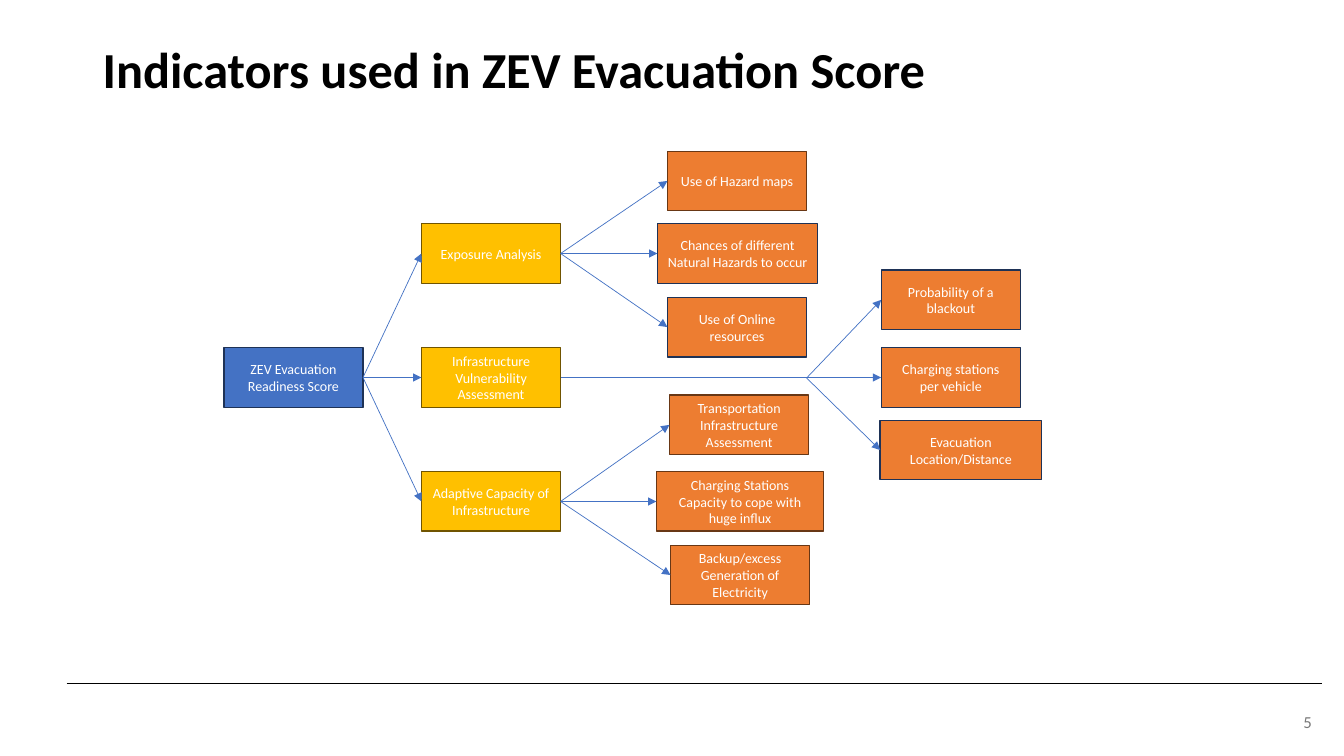
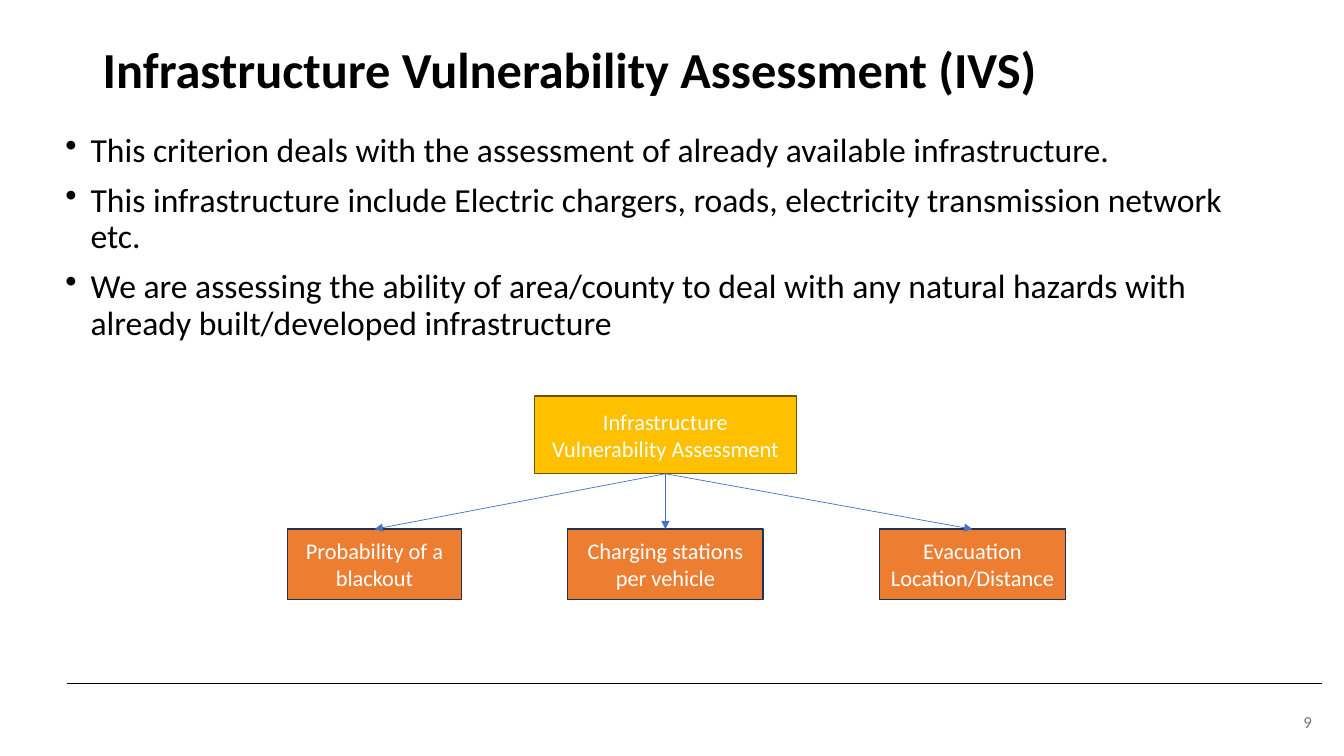
from dataclasses import dataclass

from lxml.etree import SubElement
from pptx import Presentation
from pptx.dml.color import RGBColor as Rgb
from pptx.enum.shapes import MSO_CONNECTOR as Connector, MSO_SHAPE as Shape
from pptx.enum.text import MSO_ANCHOR as Anchor, PP_ALIGN as Align
from pptx.oxml.ns import qn
from pptx.util import Pt

EMU_PER_PX = 9144
TOP, LEFT, BOTTOM, RIGHT = range(4)


def px(length):
    """Turn a length in px into EMU."""
    return length * EMU_PER_PX


@dataclass(frozen=True)
class Theme:
    """Colours, as (fill, outline) pairs for boxes, and type sizes."""

    font: str = "Calibri"
    ink: str = "000000"
    muted: str = "797979"
    box_text: str = "FFFFFF"
    arrow: str = "4472C4"
    score: tuple = ("4472C4", "1E3256")
    criterion: tuple = ("FFC000", "705400")
    indicator: tuple = ("ED7D31", "683715")
    indicator_navy: tuple = ("ED7D31", "1E3256")
    title_size: int = 36
    body_size: int = 24
    large_box_size: int = 16
    page_size: int = 12
    small_box_size: int = 10


class Deck:
    """Holds the style and the slide being drawn."""

    def __init__(self, theme):
        """Start an empty wide presentation."""
        self.theme = theme
        self.show = Presentation()
        self.show.slide_width, self.show.slide_height = px(1333), px(750)
        self.slide = None

    def start_slide(self, title, page):
        """Add a slide with its footer rule, page number and title."""
        theme = self.theme
        self.slide = self.show.slides.add_slide(self.show.slide_layouts[6])
        self.line((66, 678), (1311, 678), theme.ink)
        self.text([str(page)], 1169, 696, 142, 40, theme.page_size, theme.muted,
                  align=Align.RIGHT, anchor=Anchor.MIDDLE)
        heading = self.text([title], 92, 40, 1150, 94, theme.title_size, theme.ink, bold=True)
        heading.paragraphs[0].line_spacing = 0.9

    def fill_frame(self, frame, lines, size, color, align, anchor, bold=False):
        """Write one paragraph per line and format its run."""
        frame.word_wrap = True
        frame.vertical_anchor = anchor
        frame.text = "\n".join(lines)
        for paragraph in frame.paragraphs:
            paragraph.alignment = align
            for run in paragraph.runs:
                run.font.name = self.theme.font
                run.font.size = Pt(size)
                run.font.bold = bold
                run.font.color.rgb = Rgb.from_string(color)

    def text(self, lines, left, top, width, height, size, color,
             align=Align.LEFT, anchor=Anchor.TOP, bold=False):
        """Add a text box and return its text frame."""
        frame = self.slide.shapes.add_textbox(px(left), px(top), px(width), px(height)).text_frame
        self.fill_frame(frame, lines, size, color, align, anchor, bold)
        return frame

    def bullets(self, lines, left, top, width, height):
        """Add a bulleted list."""
        frame = self.text(lines, left, top, width, height, self.theme.body_size, self.theme.ink)
        for index, paragraph in enumerate(frame.paragraphs):
            properties = paragraph._p.get_or_add_pPr()
            properties.set("marL", str(px(25)))
            properties.set("indent", str(px(-25)))
            SubElement(properties, qn("a:buChar")).set("char", "•")
            paragraph.line_spacing = 0.9
            paragraph.space_before = Pt(10 if index else 0)

    def box(self, label, left, top, width, height, colors, size):
        """Add a labelled rectangle and return it."""
        fill, outline = colors
        box = self.slide.shapes.add_shape(
            Shape.RECTANGLE, px(left), px(top), px(width), px(height))
        box.shadow.inherit = False
        box.fill.solid()
        box.fill.fore_color.rgb = Rgb.from_string(fill)
        box.line.color.rgb = Rgb.from_string(outline)
        box.line.width = Pt(1)
        self.fill_frame(box.text_frame, [label], size, self.theme.box_text,
                        Align.CENTER, Anchor.MIDDLE)
        return box

    def line(self, start, end, color, arrow=False):
        """Add a thin straight line between two points."""
        line = self.slide.shapes.add_connector(
            Connector.STRAIGHT, *(px(value) for value in (*start, *end)))
        line.line.color.rgb = Rgb.from_string(color)
        line.line.width = Pt(0.5)
        properties = line.element.spPr
        if arrow:
            SubElement(properties.find(qn("a:ln")), qn("a:tailEnd")).set("type", "triangle")
        SubElement(properties, qn("a:effectLst"))
        return line

    def arrow(self, target, target_side, source=None, source_side=RIGHT, start=(0, 0)):
        """Point an arrow at a box, from another box or a start point."""
        arrow = self.line(start, start, self.theme.arrow, arrow=True)
        if source is not None:
            arrow.begin_connect(source, source_side)
        arrow.end_connect(target, target_side)


def indicators_slide(deck):
    """Draw the tree of all indicators."""
    theme = deck.theme
    plain, navy = theme.indicator, theme.indicator_navy
    criteria = [
        ("Exposure Analysis", [
            ("Use of Hazard maps", 662, 150, 138, plain),
            ("Chances of different Natural Hazards to occur", 652, 222, 159, navy),
            ("Use of Online resources", 662, 295, 138, navy)]),
        ("Infrastructure Vulnerability Assessment", [
            ("Probability of a blackout", 874, 268, 138, navy),
            ("Charging stations per vehicle", 874, 345, 138, navy),
            ("Evacuation Location/Distance", 873, 417, 160, navy)]),
        ("Adaptive Capacity of Infrastructure", [
            ("Transportation Infrastructure Assessment", 664, 392, 138, plain),
            ("Charging Stations Capacity to cope with huge influx", 651, 468, 166, plain),
            ("Backup/excess Generation of Electricity", 665, 541, 138, plain)]),
    ]
    height, size = 59, theme.small_box_size
    fork = (800, 375)

    deck.start_slide("Indicators used in ZEV Evacuation Score", 5)
    score = deck.box("ZEV Evacuation Readiness Score", 222, 345, 138, height, theme.score, size)
    for row, (name, indicators) in enumerate(criteria):
        criterion = deck.box(name, 418, 222 + 123 * row, 138, height, theme.criterion, size)
        deck.arrow(criterion, LEFT, score)
        for place, (label, left, top, width, colors) in enumerate(indicators):
            indicator = deck.box(label, left, top, width, height, colors, size)
            if row == 1 and place != 1:
                deck.arrow(indicator, LEFT, start=fork)
            else:
                deck.arrow(indicator, LEFT, criterion)


def vulnerability_slide(deck):
    """Explain the infrastructure criterion and its three indicators."""
    theme = deck.theme
    size = theme.large_box_size
    deck.start_slide("Infrastructure Vulnerability Assessment (IVS)", 9)
    deck.bullets([
        "This criterion deals with the assessment of already available infrastructure.",
        "This infrastructure include Electric chargers, roads, electricity transmission "
        "network etc.",
        "We are assessing the ability of area/county to deal with any natural hazards with "
        "already built/developed infrastructure",
    ], 55, 127, 1215, 229)
    criterion = deck.box("Infrastructure Vulnerability Assessment", 530, 393, 260, 77,
                         theme.criterion, size)
    for label, left, width in [
        ("Probability of a blackout", 285, 173),
        ("Charging stations per vehicle", 563, 194),
        ("Evacuation Location/Distance", 872, 185),
    ]:
        indicator = deck.box(label, left, 525, width, 70, theme.indicator_navy, size)
        deck.arrow(indicator, TOP, criterion, BOTTOM)


def main():
    """Build and save the deck."""
    deck = Deck(Theme())
    indicators_slide(deck)
    vulnerability_slide(deck)
    deck.show.save("out.pptx")


if __name__ == "__main__":
    main()
